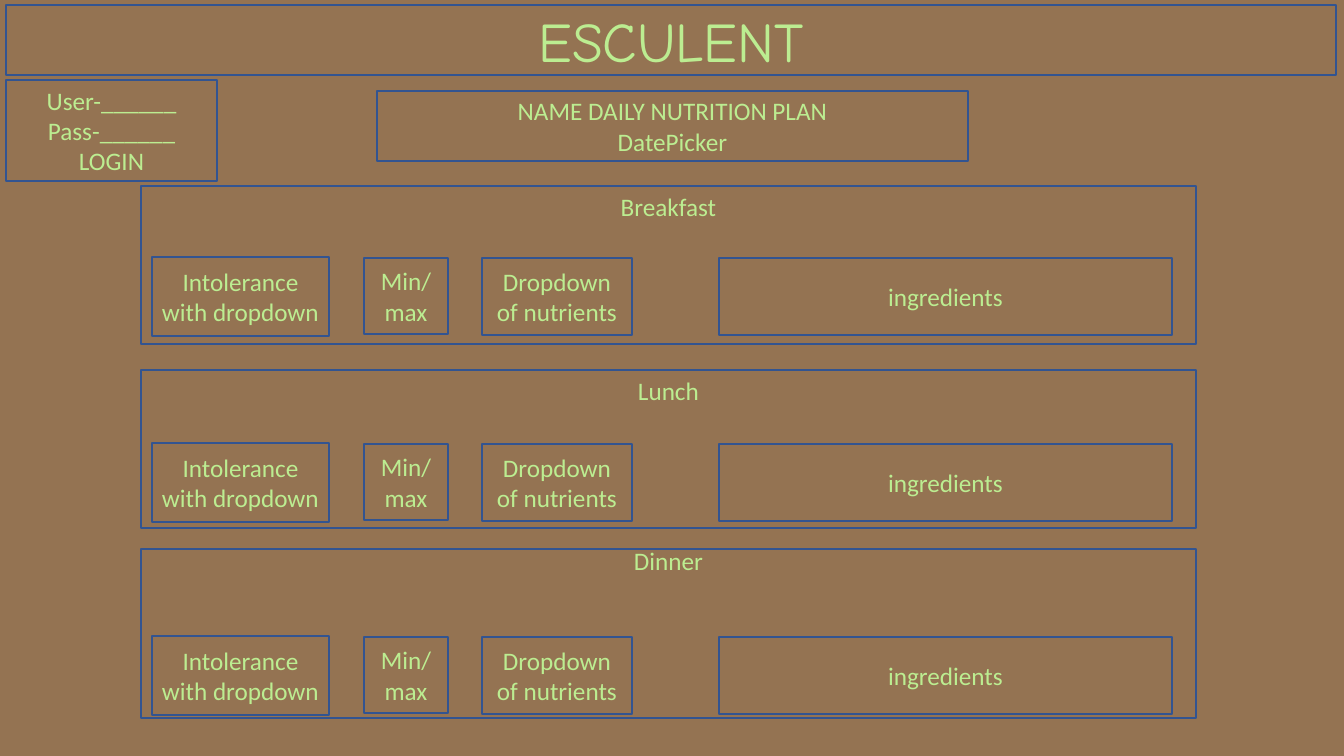
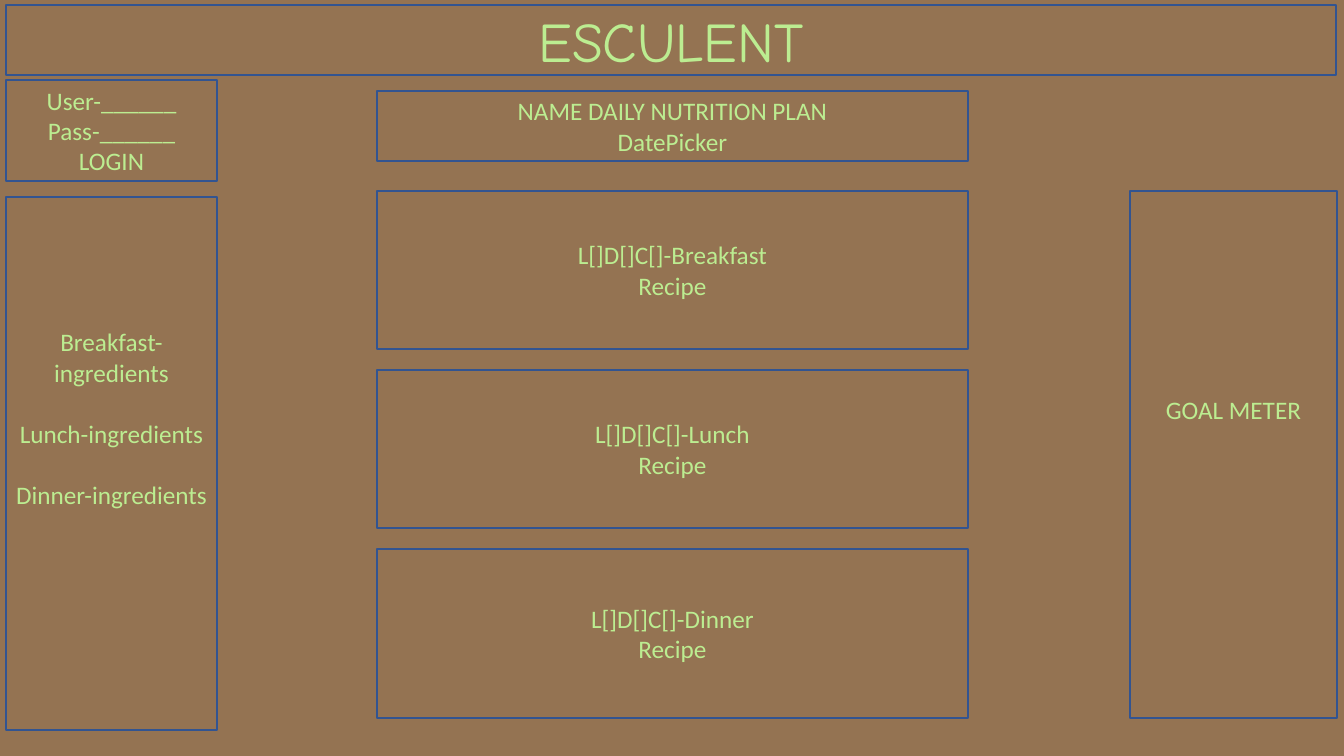
"""Build the two wireframe slides of a meal planner."""
import dataclasses

import pptx
import pptx.dml.color
import pptx.enum.shapes
import pptx.enum.text
import pptx.util

EMU_PER_PIXEL = 914400 / 100.8


def pixels(count):
    """Turn whole pixels into EMU."""
    return pptx.util.Emu(round(count * EMU_PER_PIXEL))


@dataclasses.dataclass(frozen=True)
class Theme:
    """Colours, fonts and type sizes shared by the slides."""
    ground: str = "947352"
    outline: str = "325491"
    text: str = "BCED91"
    title_font: str = "Comic Neue"
    body_font: str = "Calibri"
    title_size: int = 40
    body_size: int = 18
    line_width: int = 1
    inset_x: int = 10
    inset_y: int = 5


class Deck:
    """Hold the style and the current slide."""

    def __init__(self, theme):
        """Start a presentation with a coloured master."""
        self.theme = theme
        self.presentation = pptx.Presentation()
        self.presentation.slide_width = pixels(1344)
        self.presentation.slide_height = pixels(756)
        self.paint(self.presentation.slide_master.background.fill, theme.ground)
        self.slide = None

    def paint(self, fill, colour):
        """Make a fill solid in one colour."""
        fill.solid()
        fill.fore_color.rgb = pptx.dml.color.RGBColor.from_string(colour)

    def style(self, shape, lines, font, size, lift=0, gap=0):
        """Outline a shape and centre its lines, raised by the lift's half."""
        theme = self.theme
        self.paint(shape.fill, theme.ground)
        self.paint(shape.line.fill, theme.outline)
        shape.line.width = pptx.util.Pt(theme.line_width)
        frame = shape.text_frame
        frame.word_wrap = True
        frame.auto_size = pptx.enum.text.MSO_AUTO_SIZE.NONE
        frame.vertical_anchor = pptx.enum.text.MSO_ANCHOR.MIDDLE
        frame.margin_left = frame.margin_right = pixels(theme.inset_x)
        frame.margin_top = pixels(theme.inset_y)
        frame.margin_bottom = pixels(theme.inset_y + lift)
        frame.text = "\n".join(lines)
        for index, paragraph in enumerate(frame.paragraphs):
            paragraph.alignment = pptx.enum.text.PP_ALIGN.CENTER
            paragraph.space_before = pptx.util.Pt(gap if index else 0)
            paragraph.font.name = font
            paragraph.font.size = pptx.util.Pt(size)
            self.paint(paragraph.font.fill, theme.text)

    def title(self, text, left, top, width, height):
        """Place the title in its placeholder."""
        shape = self.slide.shapes.title
        shape.left, shape.top = pixels(left), pixels(top)
        shape.width, shape.height = pixels(width), pixels(height)
        self.style(shape, [text], self.theme.title_font, self.theme.title_size)

    def box(self, lines, left, top, width, height, lift=0, gap=0):
        """Add an outlined box with centred lines."""
        shape = self.slide.shapes.add_shape(
            pptx.enum.shapes.MSO_SHAPE.RECTANGLE,
            *map(pixels, (left, top, width, height)))
        shape.shadow.inherit = False
        self.style(shape, lines, self.theme.body_font, self.theme.body_size, lift, gap)

    def page(self):
        """Start a slide with the title, login and plan boxes."""
        layout = self.presentation.slide_layouts.get_by_name("Title Only")
        self.slide = self.presentation.slides.add_slide(layout)
        self.title("ESCULENT", 6, 5, 1330, 70)
        self.box(["User-______", "Pass-______", "LOGIN"], 6, 80, 211, 101)
        self.box(["NAME DAILY NUTRITION PLAN", "DatePicker"], 377, 91, 591, 70)


FIELDS = [
    ("Intolerance with dropdown", 152, -1, 177, 79),
    ("Min/max", 364, 0, 84, 76),
    ("Dropdown of nutrients", 482, 0, 150, 77),
    ("ingredients", 719, 0, 453, 77),
]
MEALS = [
    ("Breakfast", 186, 158, 118, 258),
    ("Lunch", 370, 158, 118, 444),
    ("Dinner", 549, 169, 147, 637),
]
RECIPES = [("Breakfast", 191, 158), ("Lunch", 370, 158), ("Dinner", 549, 169)]

deck = Deck(Theme())

deck.page()
for meal, top, height, lift, field_top in MEALS:
    deck.box([meal], 141, top, 1055, height, lift)
    for label, left, shift, width, field_height in FIELDS:
        deck.box([label], left, field_top + shift, width, field_height)

deck.page()
for meal, top, height in RECIPES:
    deck.box([f"L[]D[]C[]-{meal}", "Recipe"], 377, top, 591, height)
deck.box(["GOAL METER"], 1130, 191, 207, 527, lift=91)
deck.box([f"{meal}-ingredients" for meal, *_ in RECIPES],
         6, 197, 211, 533, lift=91, gap=22)

deck.presentation.save("out.pptx")
